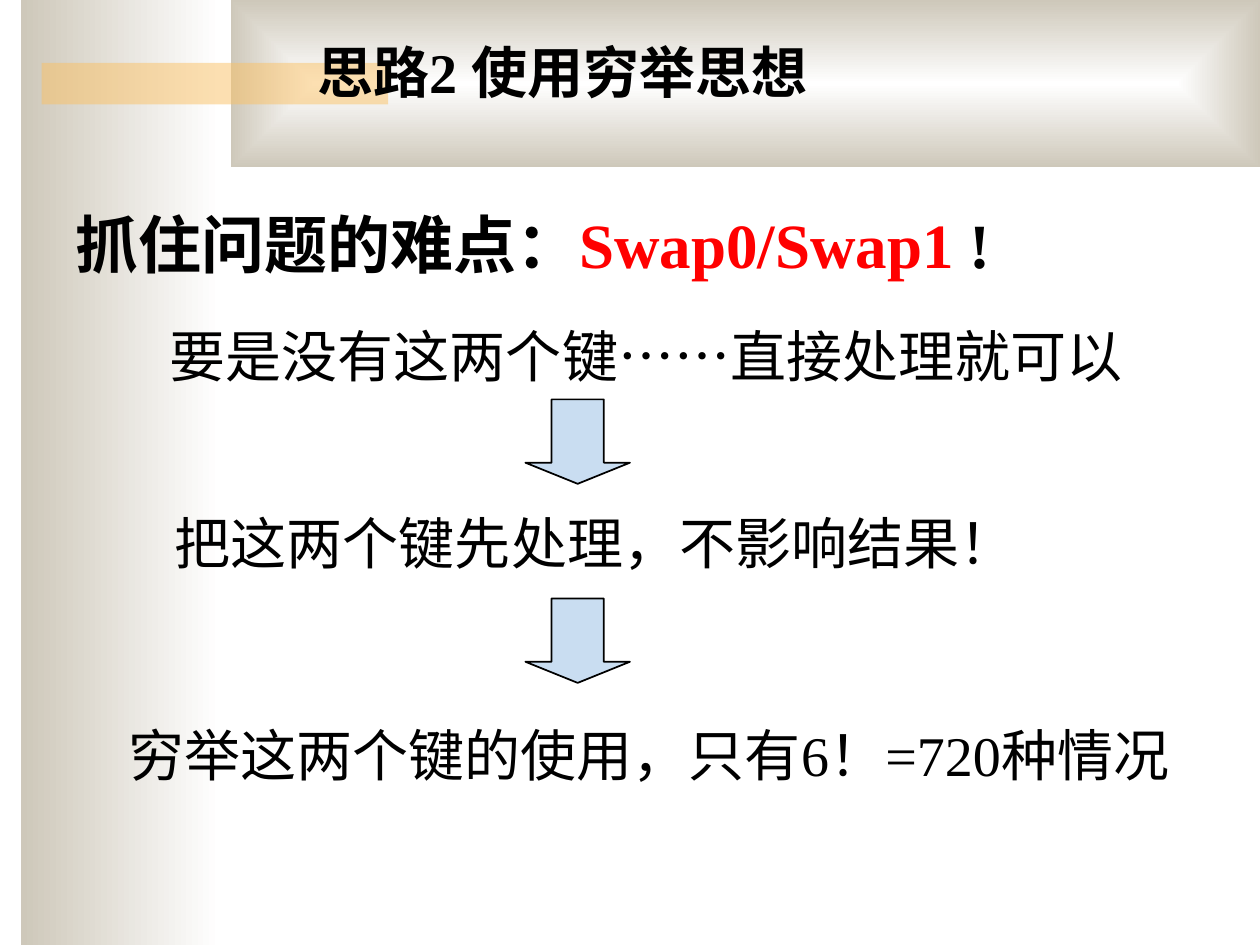
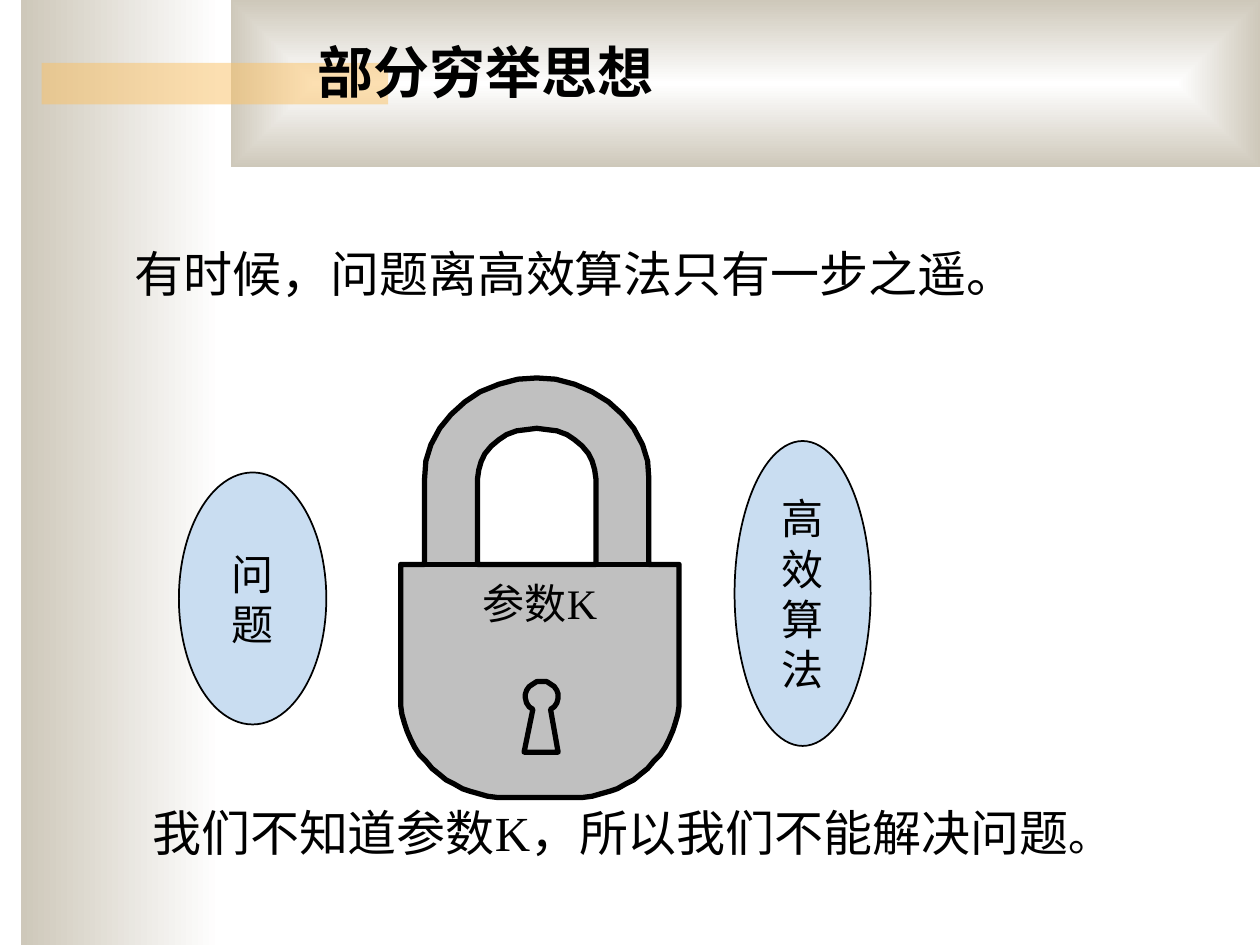
from math import cos, radians, sin

from lxml import etree
from pptx import Presentation
from pptx.dml.color import RGBColor
from pptx.enum.shapes import MSO_CONNECTOR, MSO_SHAPE
from pptx.enum.text import MSO_ANCHOR, MSO_AUTO_SIZE, PP_ALIGN
from pptx.oxml.ns import qn
from pptx.util import Pt

RECTANGLE, ELLIPSE, DOWN_ARROW = MSO_SHAPE.RECTANGLE, MSO_SHAPE.OVAL, MSO_SHAPE.DOWN_ARROW
STRAIGHT = MSO_CONNECTOR.STRAIGHT
TOP, MIDDLE = MSO_ANCHOR.TOP, MSO_ANCHOR.MIDDLE
LEFT, CENTER = PP_ALIGN.LEFT, PP_ALIGN.CENTER
NO_AUTO_SIZE = MSO_AUTO_SIZE.NONE

PX = 9144
FONT = "Times New Roman"
COLORS = {name: RGBColor.from_string(value) for name, value in {
    "black": "000000", "white": "FFFFFF", "red": "FF0000", "sand": "CEC8BA",
    "orange": "FAC164", "blue": "C9DDF1", "gray": "C0C0C0",
}.items()}


def paint(shape, color, line_width):
    shape.shadow.inherit = False
    shape.fill.solid()
    shape.fill.fore_color.rgb = COLORS[color]
    if line_width:
        shape.line.color.rgb = COLORS["black"]
        shape.line.width = Pt(line_width)
    else:
        shape.line.fill.background()


def write(shape, text, size, bold=False, align=LEFT, anchor=TOP, wrap=False):
    frame = shape.text_frame
    frame.text = text
    frame.word_wrap = wrap
    frame.auto_size = NO_AUTO_SIZE
    frame.vertical_anchor = anchor
    for paragraph in frame.paragraphs:
        paragraph.alignment = align
        paragraph.font.name = FONT
        paragraph.font.size = Pt(size)
        paragraph.font.bold = bold
        paragraph.font.color.rgb = COLORS["black"]
    return frame.paragraphs[0]


presentation = Presentation()
presentation.slide_width = 1000 * PX
presentation.slide_height = 750 * PX
layout = presentation.slide_layouts[5]
for placeholder in list(layout.placeholders):
    if placeholder.placeholder_format.idx != 0:
        placeholder.element.getparent().remove(placeholder.element)

slides = []
for title_text in ("思路2 使用穷举思想", "部分穷举思想"):
    slide = presentation.slides.add_slide(layout)
    title = slide.shapes.title
    title.left, title.top, title.width, title.height = 242 * PX, 25 * PX, 600 * PX, 64 * PX
    write(title, title_text, 32, bold=True, wrap=True)
    slides.append(slide)
idea_slide, lock_slide = slides

bands = []
for left, top, width, height in ((17, 0, 158, 750), (183, 0, 817, 133), (33, 50, 275, 33)):
    band = idea_slide.shapes.add_shape(RECTANGLE, left * PX, top * PX, width * PX, height * PX)
    paint(band, "orange", 0)
    bands.append(band)
side_band, title_band, accent_band = bands

for band in (side_band, title_band):
    band.fill.gradient()
    band.fill.gradient_angle = 180
    for stop, color in zip(band.fill.gradient_stops, ("white", "sand")):
        stop.color.rgb = COLORS[color]

linear = next(title_band.element.iter(qn("a:lin")))
gradient_fill = linear.getparent()
gradient_fill.remove(linear)
rectangular = etree.SubElement(gradient_fill, qn("a:path"), {"path": "rect"})
etree.SubElement(rectangular, qn("a:fillToRect"), dict.fromkeys("ltrb", "50000"))

accent_color = next(accent_band.element.iter(qn("a:srgbClr")))
etree.SubElement(accent_color, qn("a:alpha"), {"val": "50000"})

for position, band in enumerate(bands):
    layout.element.cSld.spTree.insert(2 + position, band.element)

first_lines = []
for slide, text, size, bold, left, top, width, height in (
    (idea_slide, "抓住问题的难点：", 36, True, 50, 158, 758, 70),
    (idea_slide, "要是没有这两个键……直接处理就可以", 32, False, 125, 250, 783, 64),
    (idea_slide, "把这两个键先处理，不影响结果！", 32, False, 129, 399, 687, 64),
    (idea_slide, "穷举这两个键的使用，只有6！=720种情况", 32, False, 92, 567, 889, 64),
    (lock_slide, "有时候，问题离高效算法只有一步之遥。", 28, False, 97, 188, 719, 57),
    (lock_slide, "我们不知道参数K，所以我们不能解决问题", 28, False, 111, 632, 799, 57),
):
    box = slide.shapes.add_textbox(left * PX, top * PX, width * PX, height * PX)
    first_lines.append(write(box, text, size, bold))
difficulty, conclusion = first_lines[0], first_lines[-1]

keys = difficulty.add_run()
keys.text = "Swap0/Swap1"
keys.font.color.rgb = COLORS["red"]
difficulty.add_run().text = " !"
full_stop = conclusion.add_run()
full_stop.text = "。"
full_stop.font.size = Pt(24)

for top in (317, 475):
    arrow = idea_slide.shapes.add_shape(DOWN_ARROW, 417 * PX, top * PX, 83 * PX, 67 * PX)
    arrow.adjustments[0], arrow.adjustments[1] = 0.5, 0.25
    paint(arrow, "blue", 1)

for label, left, top, width, height in (
    ("问题", 142, 375, 117, 200),
    ("高效算法", 583, 350, 108, 242),
):
    ellipse = lock_slide.shapes.add_shape(ELLIPSE, left * PX, top * PX, width * PX, height * PX)
    paint(ellipse, "blue", 1)
    write(ellipse, "\n".join(label), 24, align=CENTER, anchor=MIDDLE)

body_left, body_right, body_top, curve_top = 318, 539, 448, 553
corner_width, corner_height = 84, 80
shackle_x, shackle_y = 426, 380
outer_radius, inner_radius = 89, 47
keyhole_x, keyhole_y, keyhole_bottom = 430, 553, 597
arc_steps = 18

arcs = {}
for name, center_x, center_y, radius_x, radius_y, start, end in (
    ("shackle outside", shackle_x, shackle_y, outer_radius, 80, 180, 360),
    ("shackle inside", shackle_x, shackle_y, inner_radius, 40, 180, 360),
    ("right corner", body_right - corner_width, curve_top, corner_width, corner_height, 0, 90),
    ("left corner", body_left + corner_width, curve_top, corner_width, corner_height, 90, 180),
    ("keyhole", keyhole_x, keyhole_y, 13, 12, 125, 415),
):
    angles = [radians(start + (end - start) * step / arc_steps) for step in range(arc_steps + 1)]
    arcs[name] = [
        (round(center_x + radius_x * cos(angle)), round(center_y + radius_y * sin(angle)))
        for angle in angles
    ]

lock_outline = [
    (body_left, body_top),
    (shackle_x - outer_radius, body_top),
    *arcs["shackle outside"],
    (shackle_x + outer_radius, body_top),
    (body_right, body_top),
    *arcs["right corner"],
    *arcs["left corner"],
]
shackle_opening = [
    (shackle_x - inner_radius, body_top),
    *arcs["shackle inside"],
    (shackle_x + inner_radius, body_top),
]
keyhole_outline = [
    *arcs["keyhole"],
    (keyhole_x + 13, keyhole_bottom),
    (keyhole_x - 14, keyhole_bottom),
]

lock_parts = []
for contours in ((lock_outline, shackle_opening), (keyhole_outline,)):
    builder = lock_slide.shapes.build_freeform(*contours[0][0], scale=PX)
    for contour in contours:
        builder.move_to(*contour[0])
        builder.add_line_segments(contour[1:], close=True)
    part = builder.convert_to_shape()
    paint(part, "gray", 3)
    lock_parts.append(part)

lock = lock_parts[0]
write(lock, "参数K", 24, align=CENTER, wrap=True)
lock.text_frame.margin_top = 158 * PX

lock_edge = lock_slide.shapes.add_connector(
    STRAIGHT, body_left * PX, body_top * PX, body_right * PX, body_top * PX)
lock_edge.line.color.rgb = COLORS["black"]
lock_edge.line.width = Pt(3)
etree.SubElement(lock_edge.element.spPr, qn("a:effectLst"))

presentation.save("out.pptx")
